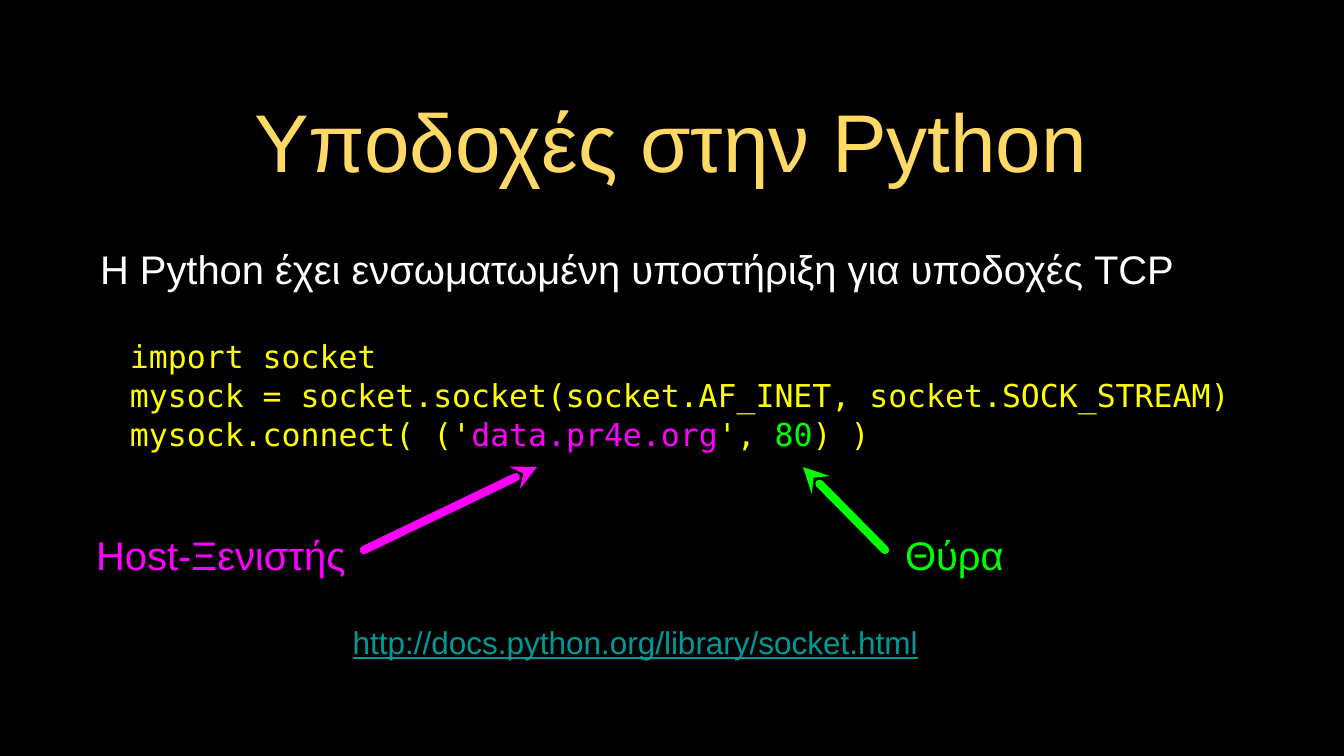
from dataclasses import dataclass

from lxml import etree
from pptx import Presentation
from pptx import util as u
from pptx.dml.color import RGBColor
from pptx.enum import shapes, text
from pptx.oxml import ns

PX = u.Inches(10) / 756
SANS, MONO = "Arial", "DejaVu Sans Mono"
BLACK, WHITE, GOLD, YELLOW = "000000", "FFFFFF", "FFD966", "FFFF00"
MAGENTA, GREEN, TEAL = "FF00FF", "00FF00", "009999"
CENTER, LEFT = text.PP_ALIGN.CENTER, text.PP_ALIGN.LEFT
MIDDLE, TOP = text.MSO_ANCHOR.MIDDLE, text.MSO_ANCHOR.TOP

Line = list[tuple[str, str]]


@dataclass
class Block:
    """Text in a box; each line is a list of (words, colour) pieces."""
    box: tuple[int, int, int, int]
    lines: list[Line]
    size: int
    font: str = SANS
    align: text.PP_ALIGN = CENTER
    anchor: text.MSO_ANCHOR = MIDDLE
    inset: int = 0
    spacing: float = 1.0
    underline: bool = False


@dataclass
class Arrow:
    tip: tuple[int, int]
    tail: tuple[int, int]
    color: str


TITLE = Block((95, 70, 1152, 140), [[("Υποδοχές στην Python", GOLD)]], 78, inset=5)
BLOCKS = [
    Block((95, 240, 1152, 110),
          [[("Η Python έχει ενσωματωμένη υποστήριξη για υποδοχές TCP", WHITE)]],
          38, align=LEFT, anchor=TOP, inset=5),
    Block((130, 322, 1165, 145), [
        [("import socket", YELLOW)],
        [("mysock = socket.socket(socket.AF_INET, socket.SOCK_STREAM)", YELLOW)],
        [("mysock.connect( ('", YELLOW), ("data.pr4e.org", MAGENTA),
         ("',", YELLOW), (" 80", GREEN), (") )", YELLOW)],
    ], 30, font=MONO, align=LEFT, spacing=1.03),
    Block((265, 615, 741, 54),
          [[("http://docs.python.org/library/socket.html", TEAL)]], 30, underline=True),
    Block((95, 528, 252, 54), [[("Host-Ξενιστής", MAGENTA)]], 38),
    Block((902, 528, 105, 54), [[("Θύρα", GREEN)]], 38),
]
ARROWS = [
    Arrow((537, 467), (364, 550), MAGENTA),
    Arrow((803, 467), (885, 550), GREEN),
]


def px(*lengths: int) -> list[int]:
    return [round(length * PX) for length in lengths]


def rgb(color: str) -> RGBColor:
    return RGBColor.from_string(color)


def fill_block(shape, block: Block) -> None:
    shape.left, shape.top, shape.width, shape.height = px(*block.box)
    frame = shape.text_frame
    frame.word_wrap = True
    frame.auto_size = text.MSO_AUTO_SIZE.NONE
    frame.vertical_anchor = block.anchor
    inset = px(block.inset)[0]
    frame.margin_left = frame.margin_right = inset
    frame.margin_top = frame.margin_bottom = inset
    for index, line in enumerate(block.lines):
        paragraph = frame.add_paragraph() if index else frame.paragraphs[0]
        paragraph.alignment = block.align
        paragraph.line_spacing = block.spacing
        for words, color in line:
            run = paragraph.add_run()
            run.text = words
            run.font.name = block.font
            run.font.size = u.Pt(block.size)
            run.font.color.rgb = rgb(color)
            if block.underline:
                run.font.underline = True


def draw_arrow(slide, arrow: Arrow) -> None:
    connector = slide.shapes.add_connector(
        shapes.MSO_CONNECTOR.STRAIGHT, *px(*arrow.tip, *arrow.tail))
    connector.line.color.rgb = rgb(arrow.color)
    connector.line.width = u.Pt(8)
    properties = connector.line._get_or_add_ln()
    properties.set("cap", "rnd")
    etree.SubElement(properties, ns.qn("a:round"))
    etree.SubElement(properties, ns.qn("a:headEnd"), type="stealth")
    etree.SubElement(connector._element.spPr, ns.qn("a:effectLst"))


def main() -> None:
    deck = Presentation()
    deck.slide_width, deck.slide_height = px(1344, 756)
    slide = deck.slides.add_slide(deck.slide_layouts.get_by_name("Title Only"))
    slide.background.fill.solid()
    slide.background.fill.fore_color.rgb = rgb(BLACK)

    fill_block(slide.shapes.title, TITLE)
    for block in BLOCKS:
        fill_block(slide.shapes.add_textbox(*px(*block.box)), block)
    for arrow in ARROWS:
        draw_arrow(slide, arrow)
    deck.save("out.pptx")


if __name__ == "__main__":
    main()
